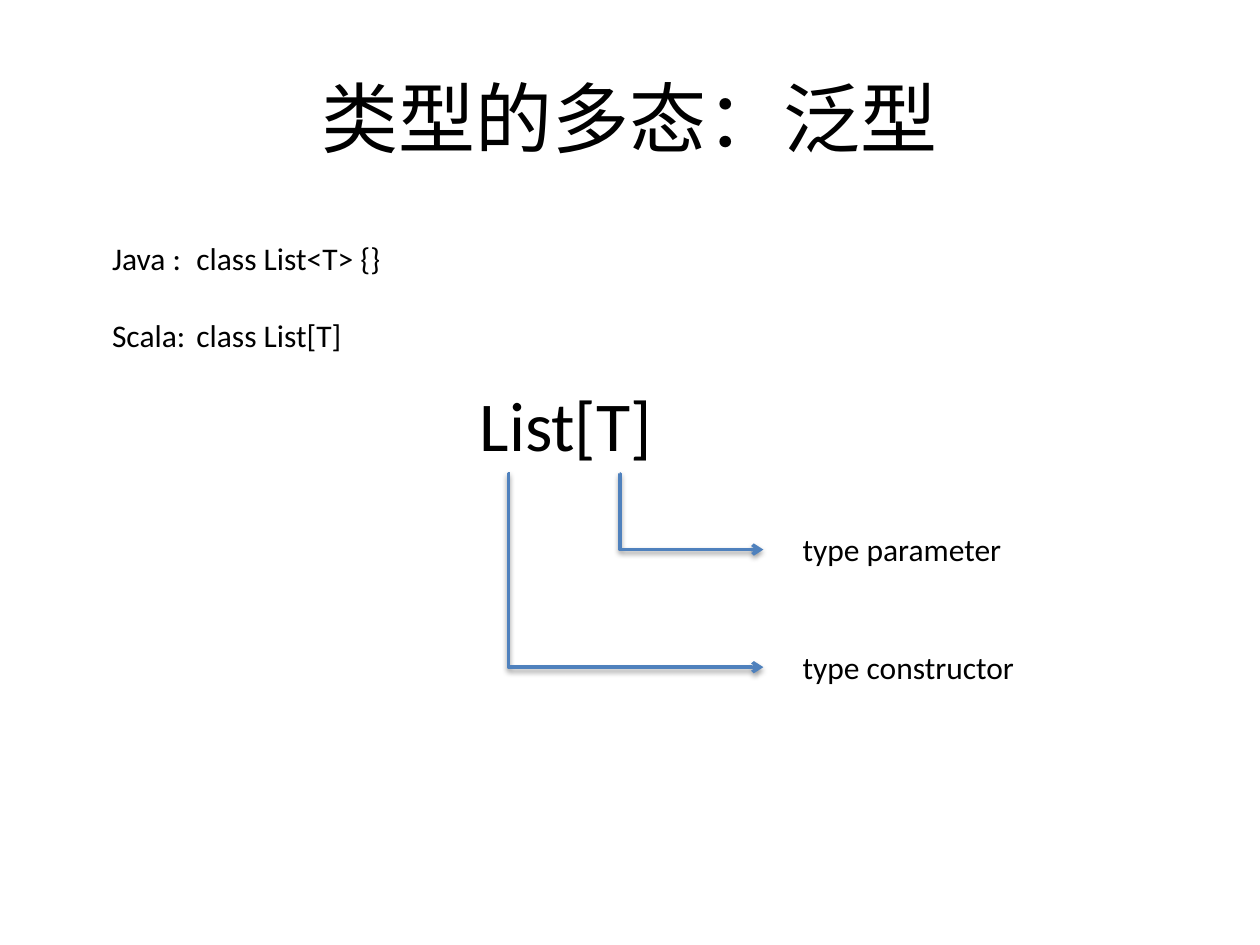
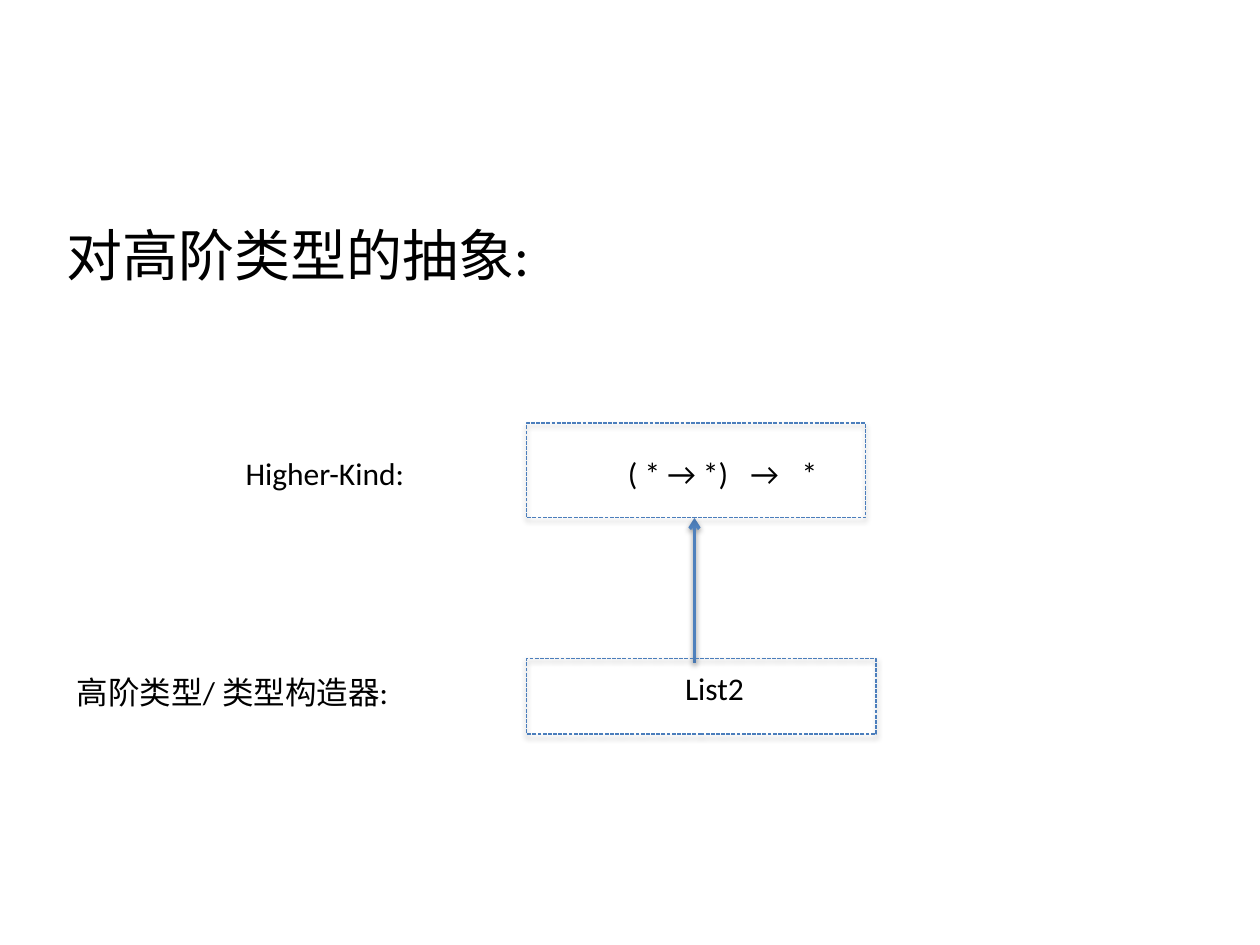
from lxml.etree import SubElement
from pptx import Presentation
from pptx.dml.color import RGBColor
from pptx.enum.dml import MSO_LINE
from pptx.enum.shapes import MSO_CONNECTOR, MSO_SHAPE
from pptx.enum.text import MSO_ANCHOR, MSO_AUTO_SIZE, PP_ALIGN
from pptx.oxml.ns import qn
from pptx.util import Cm, Pt

FONT = "Calibri"
INK, ARROW, FRAME = "000000", "4F81BD", "4B7EBC"
LABEL_HEIGHT = 1.02


def color(hex_code):
    """Turn a hex string into a colour."""
    return RGBColor.from_string(hex_code)


def write(slide, box, lines, size=18, wrap=False, grow=True, align=PP_ALIGN.LEFT,
          anchor=MSO_ANCHOR.TOP, before=0, gap=0, tabs=()):
    """Place lines of text in a box, with optional tab stops in cm."""
    frame = slide.shapes.add_textbox(*map(Cm, box)).text_frame
    frame.word_wrap = wrap
    frame.auto_size = MSO_AUTO_SIZE.SHAPE_TO_FIT_TEXT if grow else MSO_AUTO_SIZE.NONE
    frame.vertical_anchor = anchor
    for index, line in enumerate(lines):
        paragraph = frame.add_paragraph() if index else frame.paragraphs[0]
        paragraph.text = line
        paragraph.alignment = align
        paragraph.space_before = Pt(gap if index else before)
        paragraph.font.name = FONT
        paragraph.font.size = Pt(size)
        paragraph.font.color.rgb = color(INK)
        if tabs:
            stops = SubElement(paragraph._p.get_or_add_pPr(), qn("a:tabLst"))
            for stop in tabs:
                SubElement(stops, qn("a:tab"), pos=str(Cm(stop)), algn="l")


def cast_shadow(properties, distance, opacity):
    """Give a shape or connector a soft shadow straight below it."""
    effects = SubElement(properties, qn("a:effectLst"))
    shadow = SubElement(effects, qn("a:outerShdw"), blurRad=str(Pt(3.1)),
                        dist=str(Pt(distance)), dir="5400000", rotWithShape="0")
    tone = SubElement(shadow, qn("a:srgbClr"), val=INK)
    SubElement(tone, qn("a:alpha"), val=str(opacity * 1000))


def draw_arrow(slide, start, end, kind=MSO_CONNECTOR.STRAIGHT, bend=None):
    """Draw an arrow, bending at a share of its width if one is given."""
    arrow = slide.shapes.add_connector(kind, *map(Cm, start + end))
    arrow.line.color.rgb = color(ARROW)
    arrow.line.width = Pt(2)
    properties = arrow._element.spPr
    SubElement(arrow.line._get_or_add_ln(), qn("a:tailEnd"), type="arrow")
    if bend is not None:
        guides = properties.find(qn("a:prstGeom")).find(qn("a:avLst"))
        SubElement(guides, qn("a:gd"), name="adj1", fmla=f"val {round(bend * 100000)}")
    cast_shadow(properties, 1.6, 38)


def draw_frame(slide, box):
    """Draw a dashed, unfilled frame."""
    frame = slide.shapes.add_shape(MSO_SHAPE.RECTANGLE, *map(Cm, box))
    frame.fill.background()
    frame.line.color.rgb = color(FRAME)
    frame.line.width = Pt(0.75)
    frame.line.dash_style = MSO_LINE.SQUARE_DOT
    frame.line._get_or_add_ln().find(qn("a:prstDash")).set("val", "sysDash")
    cast_shadow(frame._element.spPr, 1.8, 35)


def anatomy(slide, left, top):
    """Show List[T] with an arrow from each part to its name."""
    write(slide, (left, top, 4.17, 1.96), ["List[T]"], size=40, wrap=True)
    parts = [("type parameter", 3.07, 3.51, 4.57, 0.005),
             ("type constructor", 0.86, 5.88, 4.83, -0.006)]
    for name, across, down, width, bend in parts:
        draw_arrow(slide, (left + across, top + 1.98), (left + 5.97, top + down),
                   MSO_CONNECTOR.ELBOW, bend)
        write(slide, (left + 6.51, top + down - LABEL_HEIGHT / 2, width, LABEL_HEIGHT),
              [name])


def kind_diagram(slide, left, top):
    """Show the type constructor rising to its higher kind."""
    write(slide, (left + 2.94, top + 4.83, 1.73, LABEL_HEIGHT), ["List2"])
    draw_arrow(slide, (left + 3.38, top + 4.83), (left + 3.38, top + 1.91))
    write(slide, (left + 1.79, top + 0.49, 4.62, LABEL_HEIGHT), ["( * → *)\t→\t*"],
          wrap=True, tabs=(2.47, 3.5))
    draw_frame(slide, (left, top + 4.75, 7.04, 1.52))
    draw_frame(slide, (left, top, 6.83, 1.91))
    write(slide, (left - 5.92, top + 0.49, 3.76, LABEL_HEIGHT), ["Higher-Kind:"])
    write(slide, (left - 9.32, top + 4.91, 6.86, LABEL_HEIGHT), ["高阶类型/ 类型构造器:"])


def generics_slide(slide):
    """Build the slide on generics."""
    anatomy(slide, 9.42, 7.57)
    write(slide, (2.01, 4.7, 5.99, 2.57), ["Java :\tclass List<T> {}", "Scala:\tclass List[T]"],
          gap=22, tabs=(1.7,))
    write(slide, (1.27, 0.76, 22.86, 3.18), ["类型的多态:泛型".replace(":", "：")], size=44,
          wrap=True, grow=False, align=PP_ALIGN.CENTER, anchor=MSO_ANCHOR.MIDDLE)


def higher_kind_slide(slide):
    """Build the slide on abstracting over higher-kinded types."""
    write(slide, (1.09, 4.32, 11.43, 2.13), ["对高阶类型的抽象:"], size=32, wrap=True,
          grow=False, before=6.4)
    kind_diagram(slide, 10.62, 8.53)


def main():
    """Build and save the deck."""
    deck = Presentation()
    deck.slide_width, deck.slide_height = Cm(25.4), Cm(19.05)
    for build in (generics_slide, higher_kind_slide):
        build(deck.slides.add_slide(deck.slide_layouts[6]))
    deck.save("out.pptx")


main()
